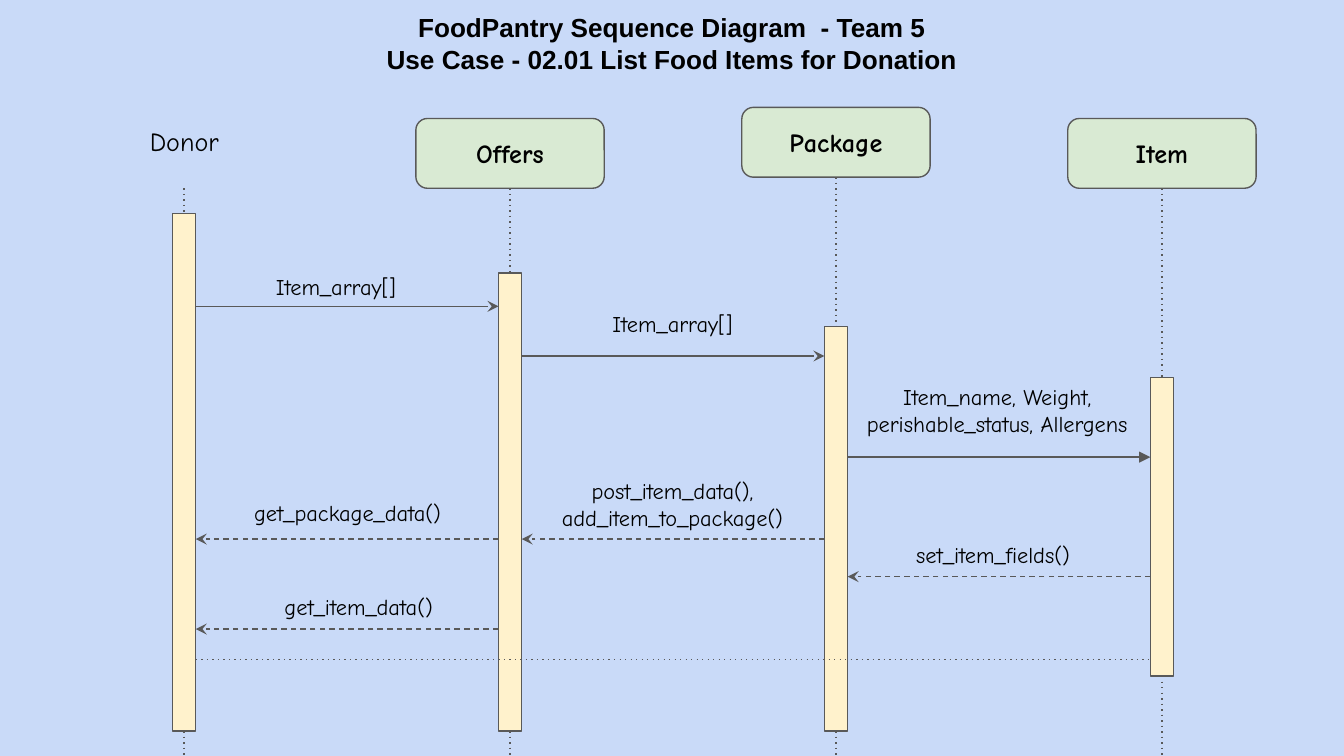
from lxml import etree
from pptx import Presentation
from pptx.dml.color import RGBColor
from pptx.enum.shapes import MSO_CONNECTOR, MSO_SHAPE
from pptx.enum.text import MSO_ANCHOR as ANCHOR, PP_ALIGN as ALIGN
from pptx.oxml.ns import qn
from pptx.util import Cm, Pt

LINE_COLOR = "595959"
BAR_HALF = 0.22
BOX_W, BOX_H = 3.56, 1.32
SLIDE_W, SLIDE_H = 25.4, 14.29

rgb = RGBColor.from_string


def write(sp, lines, size=12, font="Comic Neue", bold=False, anchor=ANCHOR.MIDDLE):
    tf = sp.text_frame
    frame_format = {"word_wrap": True, "vertical_anchor": anchor}
    for side in ("left", "right", "top", "bottom"):
        frame_format[f"margin_{side}"] = Cm(0.25)
    for name, value in frame_format.items():
        setattr(tf, name, value)
    for i, line in enumerate(lines):
        p = tf.paragraphs[0] if i == 0 else tf.add_paragraph()
        p.alignment = ALIGN.CENTER
        r = p.add_run()
        r.text = line
        for name, value in {"size": Pt(size), "name": font, "bold": bold}.items():
            setattr(r.font, name, value)
        r.font.color.rgb = rgb("000000")


def connect(x1, y1, x2, y2, dash="solid", arrow=None):
    """Draw a thin line in cm, with an optional arrowhead at its end."""
    c = shapes.add_connector(MSO_CONNECTOR.STRAIGHT, Cm(x1), Cm(y1), Cm(x2), Cm(y2))
    c.line.color.rgb = rgb(LINE_COLOR)
    c.line.width = Pt(0.75)
    ln = c.line._get_or_add_ln()
    etree.SubElement(ln, qn("a:prstDash"), val=dash)
    if arrow:
        etree.SubElement(ln, qn("a:tailEnd"), type=arrow, w="med", len="med")
    etree.SubElement(c._element.spPr, qn("a:effectLst"))


prs = Presentation()
prs.slide_width, prs.slide_height = Cm(SLIDE_W), Cm(SLIDE_H)
slide = prs.slides.add_slide(prs.slide_layouts[6])
slide.background.fill.solid()
slide.background.fill.fore_color.rgb = rgb("C9DAF8")
shapes = slide.shapes

title = shapes.add_textbox(0, Cm(-0.03), Cm(SLIDE_W), Cm(1.55))
write(title, ["FoodPantry Sequence Diagram  - Team 5",
              "Use Case - 02.01 List Food Items for Donation"],
      14, "Arial", True, ANCHOR.TOP)

# Participants: name, header top, bar top, bar bottom
participants = [
    ("Donor", 2.24, 4.04, 13.82),
    ("Offers", 2.24, 5.16, 13.82),
    ("Package", 2.03, 6.17, 13.82),
    ("Item", 2.24, 7.14, 12.78),
]
centers = [3.48 + 6.16 * i for i in range(len(participants))]

for x, (name, top, bar_top, bar_bottom) in zip(centers, participants):
    boxes = [(MSO_SHAPE.RECTANGLE, x - BAR_HALF, bar_top, 2 * BAR_HALF,
              bar_bottom - bar_top, "FFF2CC")]
    if name == "Donor":
        sp = shapes.add_textbox(Cm(x - 1.57), Cm(2.13), Cm(3.15), Cm(0.84))
        write(sp, [name], 14, anchor=ANCHOR.TOP)
    else:
        boxes.append((MSO_SHAPE.ROUNDED_RECTANGLE, x - BOX_W / 2, top,
                      BOX_W, BOX_H, "D9EAD3"))
    for kind, left, y, w, h, fill in boxes:
        sp = shapes.add_shape(kind, Cm(left), Cm(y), Cm(w), Cm(h))
        sp.shadow.inherit = False
        sp.fill.solid()
        sp.fill.fore_color.rgb = rgb(fill)
        sp.line.color.rgb = rgb(LINE_COLOR)
        sp.line.width = Pt(0.75)
        if kind == MSO_SHAPE.ROUNDED_RECTANGLE:
            write(sp, [name], 14, bold=True)
    connect(x, top + BOX_H, x, bar_top, "dot")
    connect(x, bar_bottom, x, SLIDE_H, "dot")

connect(centers[0] + BAR_HALF, 12.47, centers[-1] - BAR_HALF, 12.47, "dot")

# Messages: text, sender, receiver, line y, arrowhead, label centre x and y
messages = [
    ("Item_array[]", 0, 1, 5.79, "stealth", 6.35, 5.41),
    ("Item_array[]", 1, 2, 6.73, "stealth", 12.71, 6.12),
    ("Item_name, Weight, perishable_status, Allergens", 2, 3, 8.64, "triangle", 18.85, 7.75),
    ("set_item_fields()", 3, 2, 10.9, "stealth", 18.77, 10.49),
    ("post_item_data(), add_item_to_package()", 2, 1, 10.19, "stealth", 12.71, 9.53),
    ("get_package_data()", 1, 0, 10.19, "stealth", 6.57, 9.69),
    ("get_item_data()", 1, 0, 11.89, "stealth", 6.78, 11.46),
]
LABEL_W, LABEL_H = 5.64, 0.86
for text, sender, receiver, y, arrow, label_x, label_y in messages:
    is_reply = receiver < sender
    side = -BAR_HALF if is_reply else BAR_HALF
    connect(centers[sender] + side, y, centers[receiver] - side, y,
            "dash" if is_reply else "solid", arrow)
    label = shapes.add_textbox(Cm(label_x - LABEL_W / 2), Cm(label_y - LABEL_H / 2),
                               Cm(LABEL_W), Cm(LABEL_H))
    write(label, [text])

prs.save("out.pptx")
